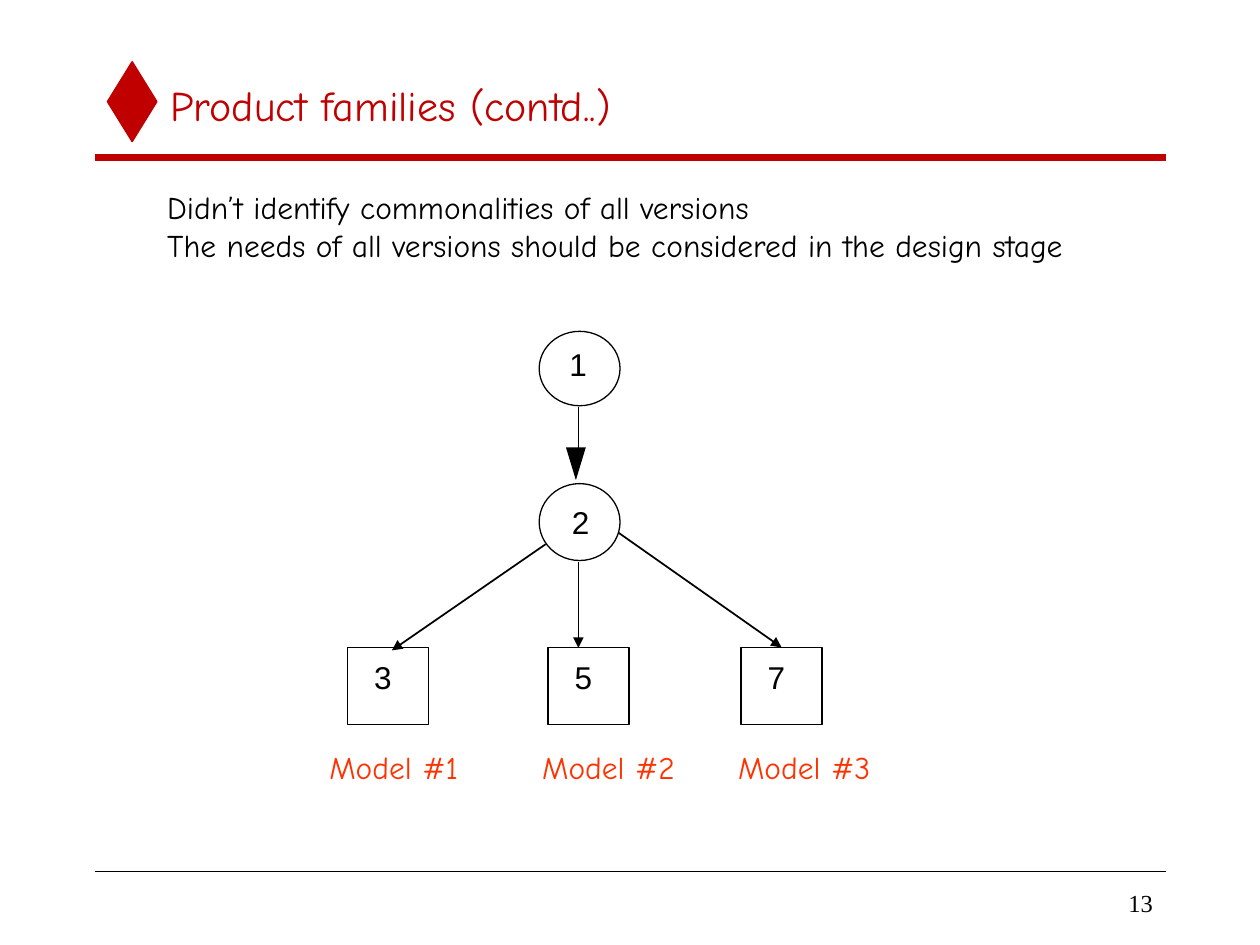
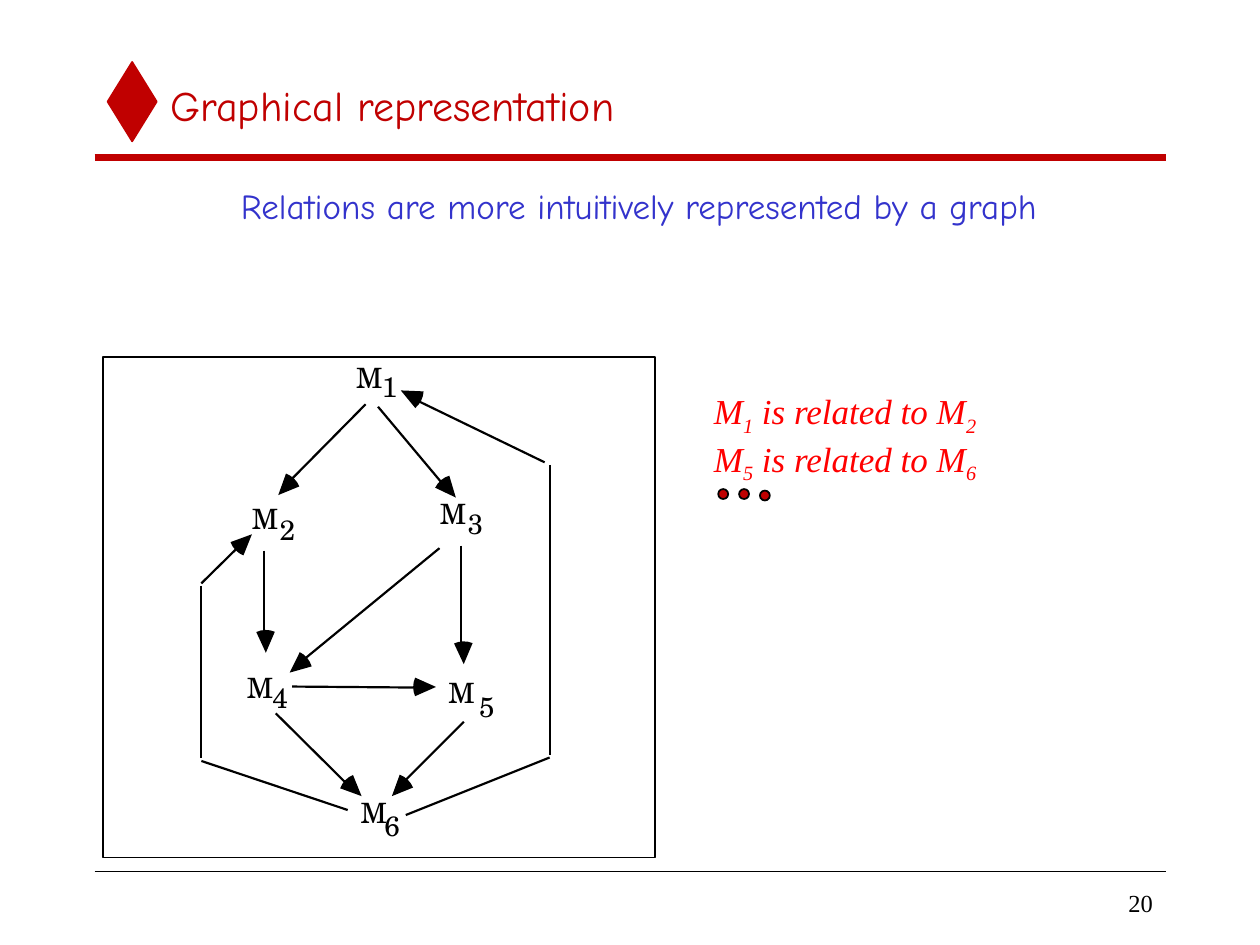
from math import atan2, cos, radians, sin

from lxml.etree import SubElement
from pptx import Presentation
from pptx.dml.color import RGBColor
from pptx.enum.shapes import MSO_CONNECTOR, MSO_SHAPE
from pptx.enum.text import MSO_ANCHOR, PP_ALIGN
from pptx.oxml.ns import qn
from pptx.util import Cm, Pt

BLACK = RGBColor(0x00, 0x00, 0x00)
WHITE = RGBColor(0xFF, 0xFF, 0xFF)
CRIMSON = RGBColor(0xC0, 0x00, 0x00)
ORANGE = RGBColor(0xFF, 0x33, 0x00)
BLUE = RGBColor(0x33, 0x33, 0xCC)
RED = RGBColor(0xFF, 0x00, 0x00)

COMIC, SERIF, SANS, SCHOLA = "Comic Neue", "Times New Roman", "Arial", "TeX Gyre Schola"
BOX_MARGINS = (0.25, 0.13, 0.25, 0.13)
NO_MARGINS = (0, 0, 0, 0)

HEAD_LENGTH = 0.46
HEAD_HALF_ANGLE = 24


def write(tf, text, size=18, font=COMIC, color=BLACK, italic=False,
          align=PP_ALIGN.LEFT, anchor=MSO_ANCHOR.TOP, margins=BOX_MARGINS):
    """Fill a text frame, one paragraph a line; _x_ sets x as a subscript."""
    tf.word_wrap = True
    tf.vertical_anchor = anchor
    tf.margin_left, tf.margin_top, tf.margin_right, tf.margin_bottom = map(Cm, margins)
    for i, line in enumerate(text.split("\n")):
        p = tf.add_paragraph() if i else tf.paragraphs[0]
        p.alignment = align
        for j, piece in enumerate(line.split("_")):
            if not piece:
                continue
            r = p.add_run()
            r.text = piece
            r.font.size = Pt(size)
            r.font.name = font
            r.font.color.rgb = color
            r.font.italic = italic
            if j % 2:
                r._r.get_or_add_rPr().set("baseline", "-25000")


class Deck:
    """Holds the shared look and the slide being drawn; all lengths are in cm."""

    def __init__(self):
        self.prs = Presentation()
        self.prs.slide_width, self.prs.slide_height = Cm(25.4), Cm(19.05)
        self.s = None

    def new_slide(self, title, number):
        self.s = self.prs.slides.add_slide(self.prs.slide_layouts[6])
        self.shape(MSO_SHAPE.DIAMOND, 2.17, 1.25, 0.99, 1.6, fill=CRIMSON, line=CRIMSON)
        self.line((1.91, 3.18), (23.5, 3.18), color=CRIMSON, width=4)
        self.line((1.91, 17.57), (23.5, 17.57))
        self.text(title, 3.18, 1.27, 20.32, 1.7, size=24, color=CRIMSON,
                  anchor=MSO_ANCHOR.MIDDLE)
        self.text(str(number), 19.88, 17.78, 3.61, 0.84, size=14, font=SERIF,
                  align=PP_ALIGN.RIGHT, anchor=MSO_ANCHOR.MIDDLE)

    def text(self, text, x, y, w, h, **fmt):
        write(self.s.shapes.add_textbox(Cm(x), Cm(y), Cm(w), Cm(h)).text_frame, text, **fmt)

    def shape(self, kind, x, y, w, h, fill=WHITE, line=BLACK, width=1):
        sp = self.s.shapes.add_shape(kind, Cm(x), Cm(y), Cm(w), Cm(h))
        sp.shadow.inherit = False
        sp.fill.solid()
        sp.fill.fore_color.rgb = fill
        sp.line.color.rgb = line
        sp.line.width = Pt(width)
        return sp

    def node(self, kind, label, x, y, h, margins):
        sp = self.shape(kind, x, y, 1.63, h, width=0.75)
        write(sp.text_frame, label, font=SANS, align=PP_ALIGN.CENTER, margins=margins)
        return sp

    def line(self, start, end, color=BLACK, width=1, arrow=False):
        c = self.s.shapes.add_connector(MSO_CONNECTOR.STRAIGHT, *map(Cm, start + end))
        c.line.color.rgb = color
        c.line.width = Pt(width)
        if arrow:
            SubElement(c.line._get_or_add_ln(), qn("a:tailEnd"), type="triangle")
        SubElement(c._element.spPr, qn("a:effectLst"))
        return c

    def polygon(self, points):
        first, *rest = [(Cm(x), Cm(y)) for x, y in points]
        builder = self.s.shapes.build_freeform(*first)
        builder.add_line_segments(rest, close=True)
        sp = builder.convert_to_shape()
        sp.shadow.inherit = False
        sp.fill.solid()
        sp.fill.fore_color.rgb = BLACK
        sp.line.fill.background()

    def wedge_arrow(self, start, end, tip):
        """Draw a line from start to end with a circular sector centred on the tip as head."""
        back = atan2(start[1] - tip[1], start[0] - tip[0])
        angles = [back + radians(a) for a in range(-HEAD_HALF_ANGLE, HEAD_HALF_ANGLE + 1, 12)]
        self.polygon([tip] + [(tip[0] + HEAD_LENGTH * cos(a), tip[1] + HEAD_LENGTH * sin(a))
                              for a in angles])
        self.line(start, end, width=1.25)


def product_families(deck):
    deck.new_slide("Product families (contd..)", 13)
    deck.text("Didn’t identify commonalities of all versions\n"
              "The needs of all versions should be considered in the design stage",
              3.12, 3.66, 20, 1.78)

    deck.node(MSO_SHAPE.OVAL, "1", 10.87, 6.68, 1.5, (0, 0.06, 0.06, 0))
    deck.node(MSO_SHAPE.OVAL, "2", 10.87, 9.75, 1.55, (0.04, 0.17, 0, 0))
    deck.line((11.66, 8.2), (11.66, 9.07), width=0.75)
    deck.polygon([(11.61, 9.68), (11.41, 9.02), (11.81, 9.02)])

    # box number, box left, model label left, arrow start, arrow end
    models = [("3", 7.01, 6.64, (11, 10.97), (7.9, 13.11)),
              ("5", 11.05, 10.93, (11.66, 11.33), (11.66, 13.06)),
              ("7", 14.94, 14.88, (12.47, 10.74), (15.75, 13.06))]
    for i, (number, x, label_x, start, end) in enumerate(models, 1):
        box = deck.node(MSO_SHAPE.RECTANGLE, number, x, 13.05, 1.55, (0, 0.21, 0.21, 0))
        arrow = deck.line(start, end, arrow=True)
        if number == "7":
            arrow.end_connect(box, 0)
        deck.text(f"Model #{i}", label_x, 15.08, 3, 0.8, color=ORANGE, margins=NO_MARGINS)


def graphical_representation(deck):
    deck.new_slide("Graphical representation", 20)
    deck.shape(MSO_SHAPE.RECTANGLE, 2.08, 7.2, 11.13, 10.09)
    deck.text("Relations are more intuitively represented by a graph",
              2.09, 3.58, 21.59, 13.61, size=20, color=BLUE, align=PP_ALIGN.CENTER)

    # start, end of the shaft, tip
    arrows = [((7.37, 8.15), (5.84, 9.7), (5.61, 9.98)),
              ((7.62, 8.2), (8.92, 9.75), (9.19, 10.03)),
              ((5.33, 11.1), (5.33, 12.78), (5.36, 13.16)),
              ((8.86, 11.05), (6.07, 13.34), (5.84, 13.56)),
              ((5.89, 13.84), (8.36, 13.86), (8.79, 13.85)),
              ((9.3, 11), (9.3, 13), (9.35, 13.39)),
              ((5.56, 14.38), (6.96, 15.77), (7.29, 16.05)),
              ((9.35, 14.55), (8.13, 15.77), (7.9, 16.05)),
              ((4.06, 11.76), (4.78, 11.05), (5.08, 10.77)),
              ((10.98, 9.32), (8.36, 8.05), (8.08, 7.87))]
    for start, end, tip in arrows:
        deck.wedge_arrow(start, end, tip)

    return_paths = [((4.06, 11.81), (4.06, 15.29)), ((4.06, 15.34), (7.01, 16.33)),
                    ((11.08, 9.37), (11.08, 15.21)), ((11.08, 15.27), (8.18, 16.43))]
    for start, end in return_paths:
        deck.line(start, end, width=1.25)

    letters = [(7.18, 7.26), (5.08, 10.11), (8.87, 10.01),
               (4.98, 13.51), (9.04, 13.61), (7.27, 16.03)]
    numbers = [(7.7, 7.45), (5.64, 10.34), (9.43, 10.21),
               (5.49, 13.71), (9.66, 13.9), (7.75, 16.29)]
    labels = [("M", at) for at in letters] + [(str(i), at) for i, at in enumerate(numbers, 1)]
    for label, (x, y) in labels:
        deck.text(label, x, y, 0.54, 0.69, size=16, font=SCHOLA, margins=NO_MARGINS)

    deck.text("M_1_ is related to M_2_\nM_5_ is related to M_6_",
              14.14, 7.72, 6.5, 3.15, size=20, font=SERIF, color=RED, italic=True)
    for i, y in enumerate((9.86, 9.86, 9.89)):
        deck.shape(MSO_SHAPE.OVAL, 14.48 + 0.42 * i, y, 0.2, 0.2, fill=CRIMSON)


def main():
    deck = Deck()
    product_families(deck)
    graphical_representation(deck)
    deck.prs.save("out.pptx")


if __name__ == "__main__":
    main()
